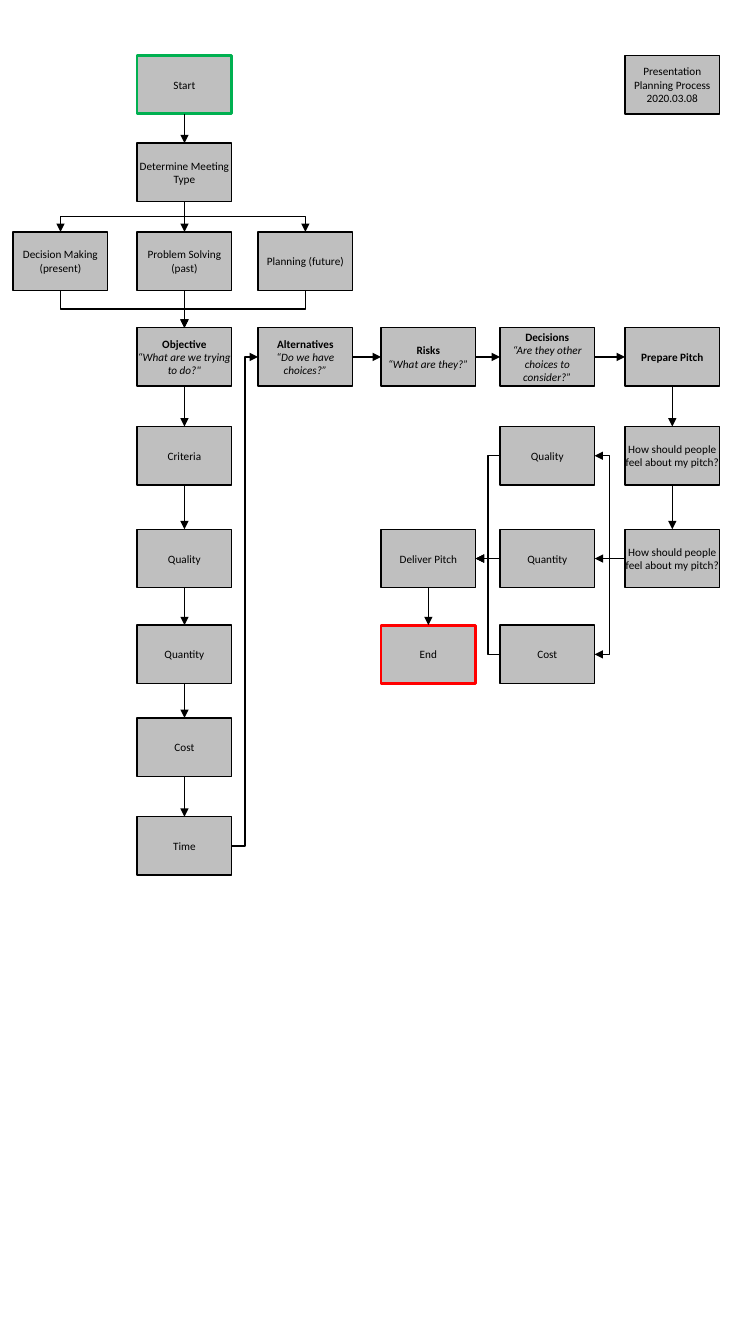
import pptx
import pptx.util
import pptx.dml.color
import pptx.enum.shapes
import pptx.enum.text
import pptx.oxml.ns
import lxml.etree

Inches, Pt = pptx.util.Inches, pptx.util.Pt
RGBColor = pptx.dml.color.RGBColor
qn = pptx.oxml.ns.qn

GREY = RGBColor(0xBF, 0xBF, 0xBF)
BLACK = RGBColor(0, 0, 0)
GREEN = RGBColor(0, 0xB0, 0x50)
RED = RGBColor(0xFF, 0, 0)

prs = pptx.Presentation()
prs.slide_width, prs.slide_height = Inches(7.5), Inches(13.33)
s = prs.slides.add_slide(prs.slide_layouts[6])

# Grid of box positions, in inches
COLS = [0.13, 1.36, 2.56, 3.78, 4.96, 6.2]
ROWS = [0.55, 1.42, 2.3, 3.25, 4.23, 5.25, 6.2, 7.12, 8.1]
BOX_W, BOX_H = Inches(0.94), Inches(0.58)
TOP, LEFT, BOTTOM, RIGHT = range(4)
STAGE_ROW = 3

# Box texts by (column, row), one string per paragraph
FEEL = "How should people feel about my pitch?"
TEXTS = {
    (1, 0): ["Start"],
    (5, 0): ["Presentation Planning Process", "2020.03.08"],
    (1, 1): ["Determine Meeting Type"],
    (0, 2): ["Decision Making (present)"],
    (1, 2): ["Problem Solving (past)"],
    (2, 2): ["Planning (future)"],
    (1, 3): ["Objective", "“What are we trying to do?\""],
    (2, 3): ["Alternatives", "“Do we have choices?”"],
    (3, 3): ["Risks", "“What are they?”"],
    (4, 3): ["Decisions", "“Are they other choices to consider?”"],
    (5, 3): ["Prepare Pitch"],
    (1, 4): ["Criteria"],
    (1, 5): ["Quality"],
    (1, 6): ["Quantity"],
    (1, 7): ["Cost"],
    (1, 8): ["Time"],
    (4, 4): ["Quality"],
    (4, 5): ["Quantity"],
    (4, 6): ["Cost"],
    (5, 4): [FEEL],
    (5, 5): [FEEL],
    (3, 5): ["Deliver Pitch"],
    (3, 6): ["End"],
}
ACCENTS = {(1, 0): GREEN, (3, 6): RED}

# Boxes
boxes = {}
for (col, row), lines in TEXTS.items():
    sp = s.shapes.add_shape(pptx.enum.shapes.MSO_SHAPE.RECTANGLE,
                            Inches(COLS[col]), Inches(ROWS[row]), BOX_W, BOX_H)
    sp.shadow.inherit = False
    sp.fill.solid()
    sp.fill.fore_color.rgb = GREY
    sp.line.color.rgb = ACCENTS.get((col, row), BLACK)
    sp.line.width = Pt(2 if (col, row) in ACCENTS else 1)
    tf = sp.text_frame
    tf.word_wrap = True
    tf.vertical_anchor = pptx.enum.text.MSO_ANCHOR.MIDDLE
    tf.margin_left = tf.margin_right = tf.margin_top = tf.margin_bottom = 0
    for i, line in enumerate(lines):
        p = tf.paragraphs[0] if i == 0 else tf.add_paragraph()
        p.alignment = pptx.enum.text.PP_ALIGN.CENTER
        r = p.add_run()
        r.text = line
        r.font.name, r.font.size = "Calibri", Pt(8)
        r.font.color.rgb = BLACK
        if row == STAGE_ROW:  # bold stage name, italic question
            r.font.bold, r.font.italic = i == 0, i > 0
    boxes[col, row] = sp


def link(start, start_side, end, end_side):
    """Arrow between two boxes: straight within a row or column, else bent."""
    kinds = pptx.enum.shapes.MSO_CONNECTOR
    bent = start[0] != end[0] and start[1] != end[1]
    c = s.shapes.add_connector(kinds.ELBOW if bent else kinds.STRAIGHT, 0, 0, 0, 0)
    c.begin_connect(boxes[start], start_side)
    c.end_connect(boxes[end], end_side)
    c.line.color.rgb = BLACK
    c.line.width = Pt(1)
    spPr = c._element.spPr
    lxml.etree.SubElement(spPr.find(qn("a:ln")), qn("a:tailEnd"), type="triangle")
    lxml.etree.SubElement(spPr, qn("a:effectLst"))
    if bent and start_side == BOTTOM:  # turn the elbow so it leaves downwards
        to_right = c.end_x > c.begin_x
        mid_x, mid_y = (c.begin_x + c.end_x) // 2, (c.begin_y + c.end_y) // 2
        c.width, c.height = c.height, c.width
        c.left, c.top = mid_x - c.width // 2, mid_y - c.height // 2
        xfrm = spPr.find(qn("a:xfrm"))
        xfrm.set("rot", str((270 if to_right else 90) * 60000))
        xfrm.set("flipH", "1" if to_right else "0")
        xfrm.set("flipV", "0")


# Meeting types fan out and rejoin at the objective
for col in (2, 0, 1):
    link((1, 1), BOTTOM, (col, 2), TOP)
    link((col, 2), BOTTOM, (1, 3), TOP)

# Downward steps
DOWN = [(1, 0, 1)] + [(1, row, row + 1) for row in range(3, 8)]
DOWN += [(5, 3, 4), (5, 4, 5), (3, 5, 6)]
for col, upper, lower in DOWN:
    link((col, upper), BOTTOM, (col, lower), TOP)

# Back up to the alternatives, then across the stages
link((1, 8), RIGHT, (2, STAGE_ROW), LEFT)
for col in (2, 3, 4):
    link((col, STAGE_ROW), RIGHT, (col + 1, STAGE_ROW), LEFT)

# Pitch criteria fan out and rejoin at delivery
for row in (4, 6, 5):
    link((5, 5), LEFT, (4, row), RIGHT)
    link((4, row), LEFT, (3, 5), RIGHT)

prs.save("out.pptx")
